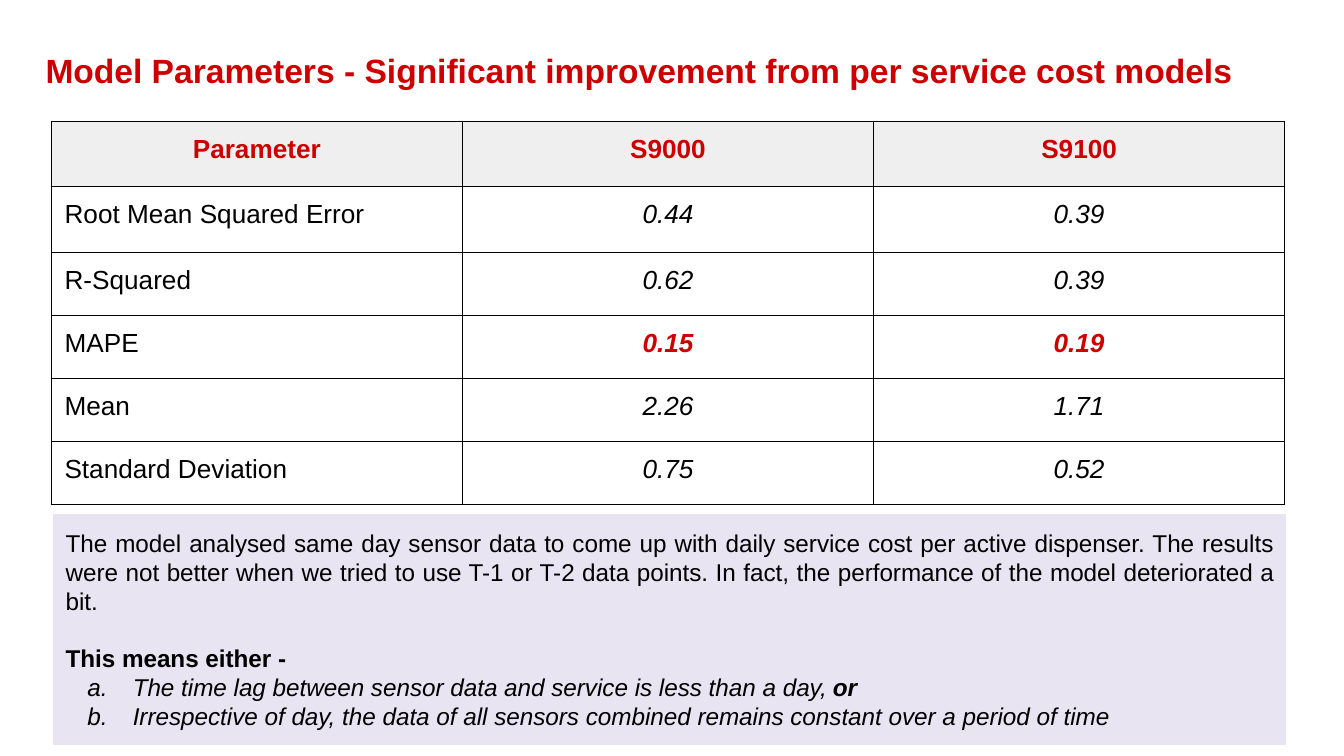
from dataclasses import dataclass

from lxml import etree
from pptx import Presentation
from pptx.dml.color import RGBColor
from pptx.enum.shapes import MSO_SHAPE
from pptx.enum.text import MSO_ANCHOR, MSO_AUTO_SIZE, PP_ALIGN
from pptx.oxml.ns import qn
from pptx.util import Cm, Pt

LEFT, CENTER, JUSTIFY = PP_ALIGN.LEFT, PP_ALIGN.CENTER, PP_ALIGN.JUSTIFY
TOP, MIDDLE = MSO_ANCHOR.TOP, MSO_ANCHOR.MIDDLE
RECTANGLE = MSO_SHAPE.RECTANGLE
NO_AUTOFIT = MSO_AUTO_SIZE.NONE
TITLE_ONLY = 5


@dataclass(frozen=True)
class Theme:
    font: str = "Arial"
    accent: str = "CC0000"
    ink: str = "000000"
    header_fill: str = "EFEFEF"
    note_fill: str = "D9D2E9"
    note_opacity: int = 58
    note_line: str = "FFFFFF"
    title_size: int = 18
    table_size: int = 14
    note_size: int = 13
    line_width: float = 0.75


THEME = Theme()
INSET = Cm(0.25)
MARGINS = {f"margin_{side}": INSET for side in ("left", "right", "top", "bottom")}

TITLE = "Model Parameters - Significant improvement from per service cost models"
HEADINGS = ("Parameter", "S9000", "S9100")
PARAMETERS = (
    ("Root Mean Squared Error", "0.44", "0.39"),
    ("R-Squared", "0.62", "0.39"),
    ("MAPE", "0.15", "0.19"),
    ("Mean", "2.26", "1.71"),
    ("Standard Deviation", "0.75", "0.52"),
)
HIGHLIGHTED = "MAPE"
FINDING = (
    "The model analysed same day sensor data to come up with daily service cost "
    "per active dispenser. The results were not better when we tried to use T-1 "
    "or T-2 data points. In fact, the performance of the model deteriorated a bit."
)
CONCLUSION = "This means either -"
EXPLANATIONS = (
    (("The time lag between sensor data and service is less than a day, ", False),
     ("or", True)),
    (("Irrespective of day, the data of all sensors combined remains constant "
      "over a period of time", False),),
)


def set_values(target, values):
    for name, value in values.items():
        setattr(target, name, value)


def add_run(paragraph, text, size, color=THEME.ink, bold=False, italic=False):
    run = paragraph.add_run()
    run.text = text
    set_values(run.font, {
        "name": THEME.font, "size": Pt(size), "bold": bold, "italic": italic,
    })
    run.font.color.rgb = RGBColor.from_string(color)


def add_title(slide):
    title = slide.shapes.title
    set_values(title, {
        "left": Cm(0.61), "top": Cm(0.69), "width": Cm(24.33), "height": Cm(1.24),
    })
    frame = title.text_frame
    set_values(frame, {
        **MARGINS, "vertical_anchor": TOP, "word_wrap": True, "auto_size": NO_AUTOFIT,
    })
    heading = frame.paragraphs[0]
    heading.alignment = LEFT
    add_run(heading, TITLE, THEME.title_size, THEME.accent, bold=True)


def add_borders(cell):
    properties = cell._tc.get_or_add_tcPr()
    for side in ("lnL", "lnR", "lnT", "lnB"):
        border = etree.SubElement(
            properties, qn(f"a:{side}"), w=str(Pt(THEME.line_width)))
        fill = etree.SubElement(border, qn("a:solidFill"))
        etree.SubElement(fill, qn("a:srgbClr"), val=THEME.ink)


def fill_cell(cell, text, alignment, header=False, **style):
    set_values(cell, {**MARGINS, "vertical_anchor": TOP})
    add_borders(cell)
    if header:
        cell.fill.solid()
        cell.fill.fore_color.rgb = RGBColor.from_string(THEME.header_fill)
    else:
        cell.fill.background()
    paragraph = cell.text_frame.paragraphs[0]
    paragraph.alignment = alignment
    add_run(paragraph, text, THEME.table_size, **style)


def add_parameter_table(slide):
    column_width, tall_row, short_row = Cm(7.77), Cm(1.24), Cm(1.19)
    row_heights = [tall_row] * 2 + [short_row] * (len(PARAMETERS) - 1)
    table = slide.shapes.add_table(
        len(row_heights), len(HEADINGS), Cm(0.97), Cm(2.29),
        column_width * len(HEADINGS), sum(row_heights)).table
    set_values(table, {"first_row": False, "horz_banding": False})
    for column in table.columns:
        column.width = column_width
    for row, height in zip(table.rows, row_heights):
        row.height = height
    for column, heading in enumerate(HEADINGS):
        fill_cell(table.cell(0, column), heading, CENTER, header=True,
                  color=THEME.accent, bold=True)
    for row, (parameter, *scores) in enumerate(PARAMETERS, 1):
        fill_cell(table.cell(row, 0), parameter, LEFT)
        highlighted = parameter == HIGHLIGHTED
        color = THEME.accent if highlighted else THEME.ink
        for column, score in enumerate(scores, 1):
            fill_cell(table.cell(row, column), score, CENTER,
                      color=color, bold=highlighted, italic=True)


def add_lettering(paragraph):
    properties = paragraph._p.get_or_add_pPr()
    set_values_xml = {"marL": str(Cm(1.27)), "indent": str(-Cm(0.86))}
    for name, value in set_values_xml.items():
        properties.set(name, value)
    color = etree.SubElement(properties, qn("a:buClr"))
    etree.SubElement(color, qn("a:srgbClr"), val=THEME.ink)
    etree.SubElement(properties, qn("a:buFont"), typeface=THEME.font)
    etree.SubElement(properties, qn("a:buAutoNum"), type="alphaLcPeriod")


def add_note_panel(slide):
    panel = slide.shapes.add_shape(
        RECTANGLE, Cm(0.99), Cm(9.7), Cm(23.32), Cm(4.39))
    panel.shadow.inherit = False
    panel.fill.solid()
    panel.fill.fore_color.rgb = RGBColor.from_string(THEME.note_fill)
    fill_color = panel._element.spPr.find(qn("a:solidFill")).find(qn("a:srgbClr"))
    etree.SubElement(fill_color, qn("a:alpha"), val=str(THEME.note_opacity * 1000))
    panel.line.color.rgb = RGBColor.from_string(THEME.note_line)
    panel.line.width = Pt(THEME.line_width)
    return panel


def add_note(slide):
    frame = add_note_panel(slide).text_frame
    set_values(frame, {**MARGINS, "vertical_anchor": MIDDLE, "word_wrap": True})
    finding = frame.paragraphs[0]
    add_run(finding, FINDING, THEME.note_size)
    conclusion = frame.add_paragraph()
    conclusion.space_before = Pt(15)
    add_run(conclusion, CONCLUSION, THEME.note_size, bold=True)
    for explanation in EXPLANATIONS:
        item = frame.add_paragraph()
        add_lettering(item)
        for text, bold in explanation:
            add_run(item, text, THEME.note_size, bold=bold, italic=True)
    for paragraph in frame.paragraphs:
        paragraph.alignment = JUSTIFY


def main():
    presentation = Presentation()
    set_values(presentation, {"slide_width": Cm(25.4), "slide_height": Cm(14.29)})
    slide = presentation.slides.add_slide(presentation.slide_layouts[TITLE_ONLY])
    add_title(slide)
    add_parameter_table(slide)
    add_note(slide)
    presentation.save("out.pptx")


if __name__ == "__main__":
    main()
